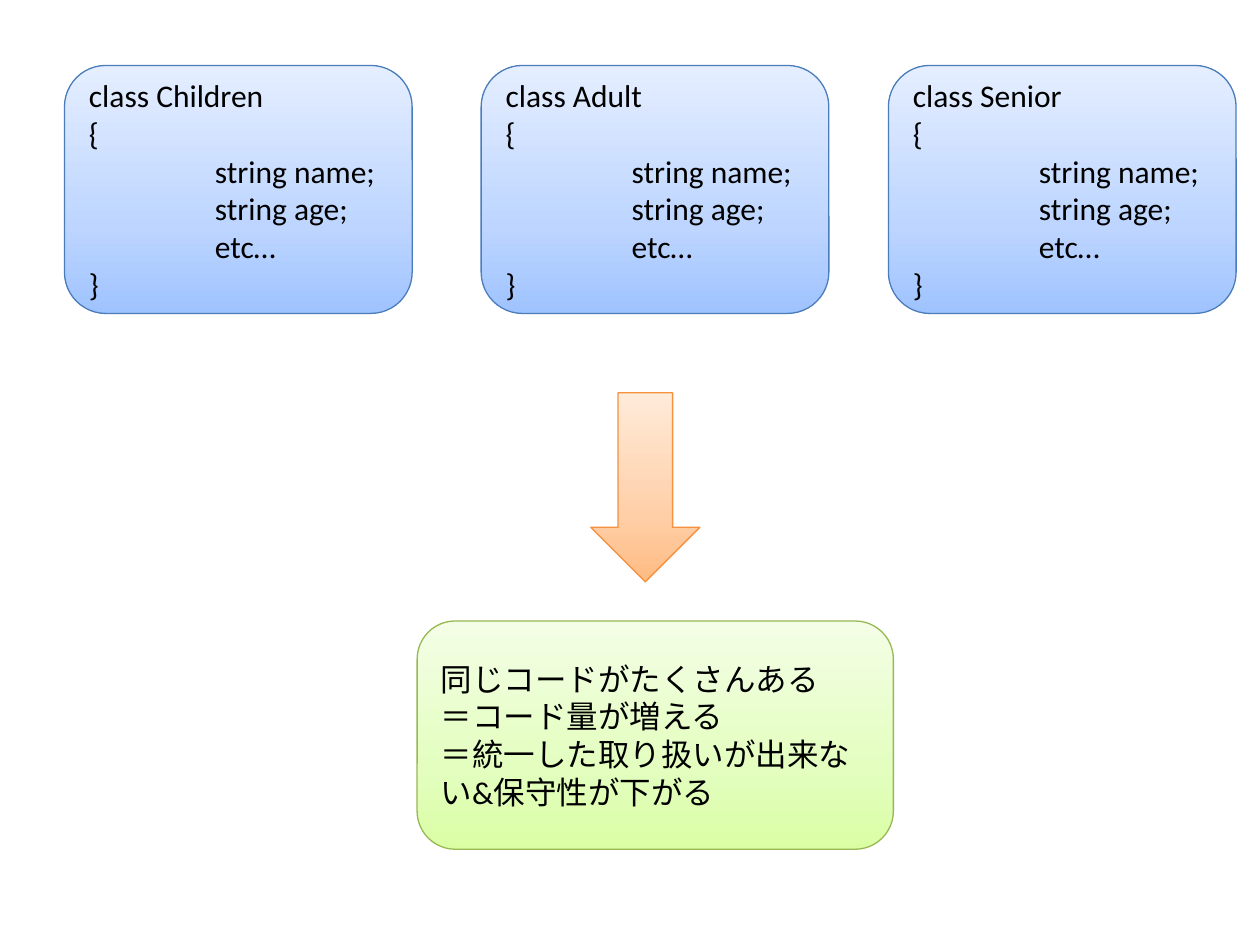
from copy import deepcopy
from dataclasses import dataclass

from lxml import etree
from pptx import Presentation
from pptx import util as u
from pptx.dml.color import RGBColor
from pptx.enum import shapes, text
from pptx.oxml.ns import qn

# Each theme: outline, then the gradient from bottom to top.
COLORS = {
    "blue": ("4A7DBA", "9FC3FF", "BDD5FF", "E4EEFF"),
    "green": ("97B853", "DAFEA4", "E3FEBF", "F4FEE6"),
    "orange": ("F5913F", "FFBB82", "FFCFA8", "FFEBD9"),
}
INK = {"text": "000000"}
STOPS = (0, 0.35, 1)
ROUND = shapes.MSO_SHAPE.ROUNDED_RECTANGLE
ARROW = shapes.MSO_SHAPE.DOWN_ARROW
FIELDS = ("{\n\tstring name;", "\tstring age;", "\tetc…", "}")


@dataclass
class Item:
    kind: shapes.MSO_SHAPE
    theme: str
    left: float
    top: float
    width: float
    height: float
    lines: tuple[str, ...] = ()


CLASSES = [
    Item(ROUND, "blue", left, 1.32, 7.01, 5, (f"class {name}", *FIELDS))
    for name, left in (("Children", 1.3), ("Adult", 9.7), ("Senior", 17.91))
]
RESULT = Item(ROUND, "green", 8.41, 12.52, 9.6, 4.6, (
    "同じコードがたくさんある",
    "＝コード量が増える",
    "＝統一した取り扱いが出来ない&保守性が下がる",
))
LEAD = Item(ARROW, "orange", 11.91, 7.92, 2.2, 3.81)


def paint(shape, theme: str) -> None:
    """Apply the outline and the three-stop upward gradient of a theme."""
    edge, *tones = COLORS[theme]
    shape.shadow.inherit = False
    shape.line.color.rgb = RGBColor.from_string(edge)
    shape.line.width = u.Pt(0.75)
    fill = shape.fill
    fill.gradient()
    fill.gradient_angle = 90
    first = next(shape.element.spPr.iter(qn("a:gs")))
    first.addnext(deepcopy(first))
    for stop, pos, tone in zip(fill.gradient_stops, STOPS, tones):
        stop.position = pos
        stop.color.rgb = RGBColor.from_string(tone)


def add_tab(para, pos: u.Length) -> None:
    props = para._p.get_or_add_pPr()
    tabs = etree.SubElement(props, qn("a:tabLst"))
    etree.SubElement(tabs, qn("a:tab"), pos=str(int(pos)), algn="l")


def add_run(para, words: str) -> None:
    run = para.add_run()
    run.text = words
    run.font.name = "Calibri"
    run.font.size = u.Pt(18)
    run.font.color.rgb = RGBColor.from_string(INK["text"])


def write(frame, lines: tuple[str, ...]) -> None:
    frame.word_wrap = True
    frame.vertical_anchor = text.MSO_ANCHOR.MIDDLE
    for num, line in enumerate(lines):
        para = frame.add_paragraph() if num else frame.paragraphs[0]
        para.alignment = text.PP_ALIGN.LEFT
        if "\t" in line:
            add_tab(para, u.Cm(2.54))
        for row, words in enumerate(line.split("\n")):
            if row:
                para.add_line_break()
            add_run(para, words)


def draw(slide, item: Item) -> None:
    box = map(u.Cm, (item.left, item.top, item.width, item.height))
    shape = slide.shapes.add_shape(item.kind, *box)
    paint(shape, item.theme)
    if item.lines:
        write(shape.text_frame, item.lines)


def main() -> None:
    deck = Presentation()
    deck.slide_width = u.Cm(25.4)
    deck.slide_height = u.Cm(19.05)
    slide = deck.slides.add_slide(deck.slide_layouts[6])
    for item in (*CLASSES, RESULT, LEAD):
        draw(slide, item)
    deck.save("out.pptx")


if __name__ == "__main__":
    main()
